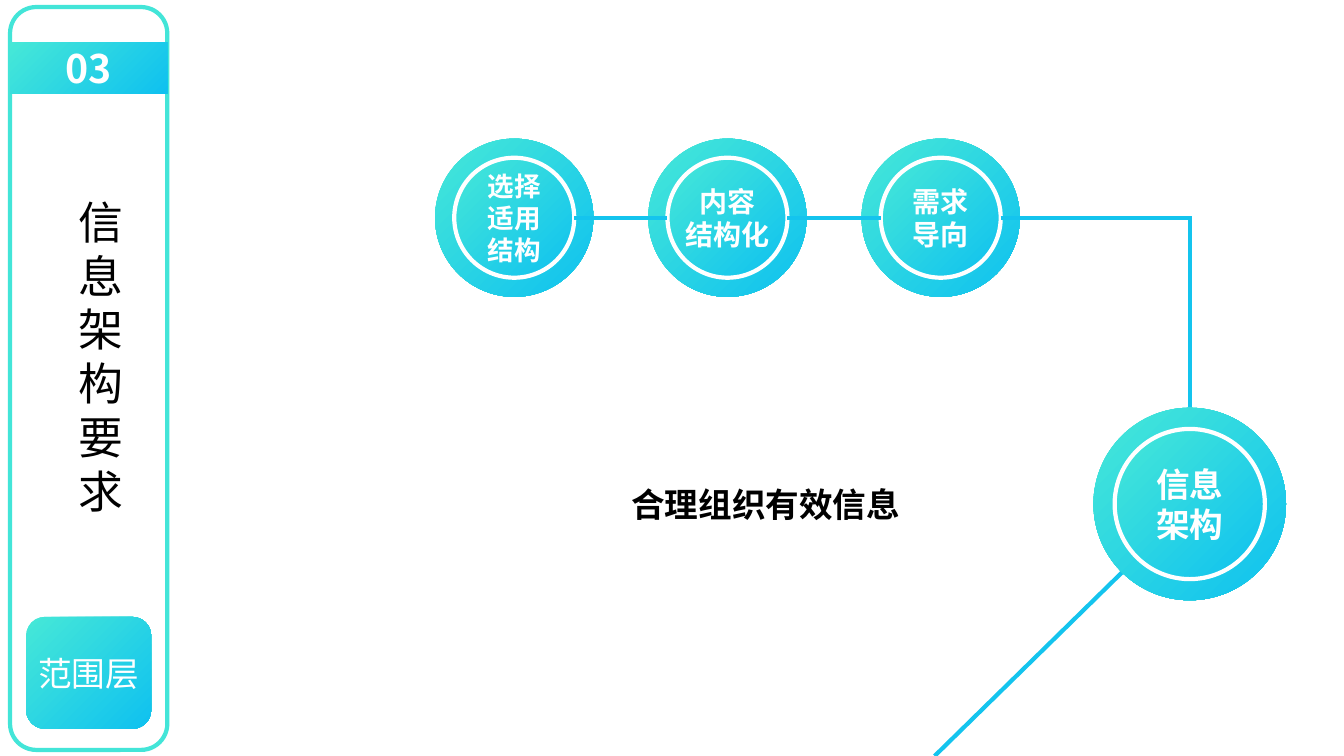
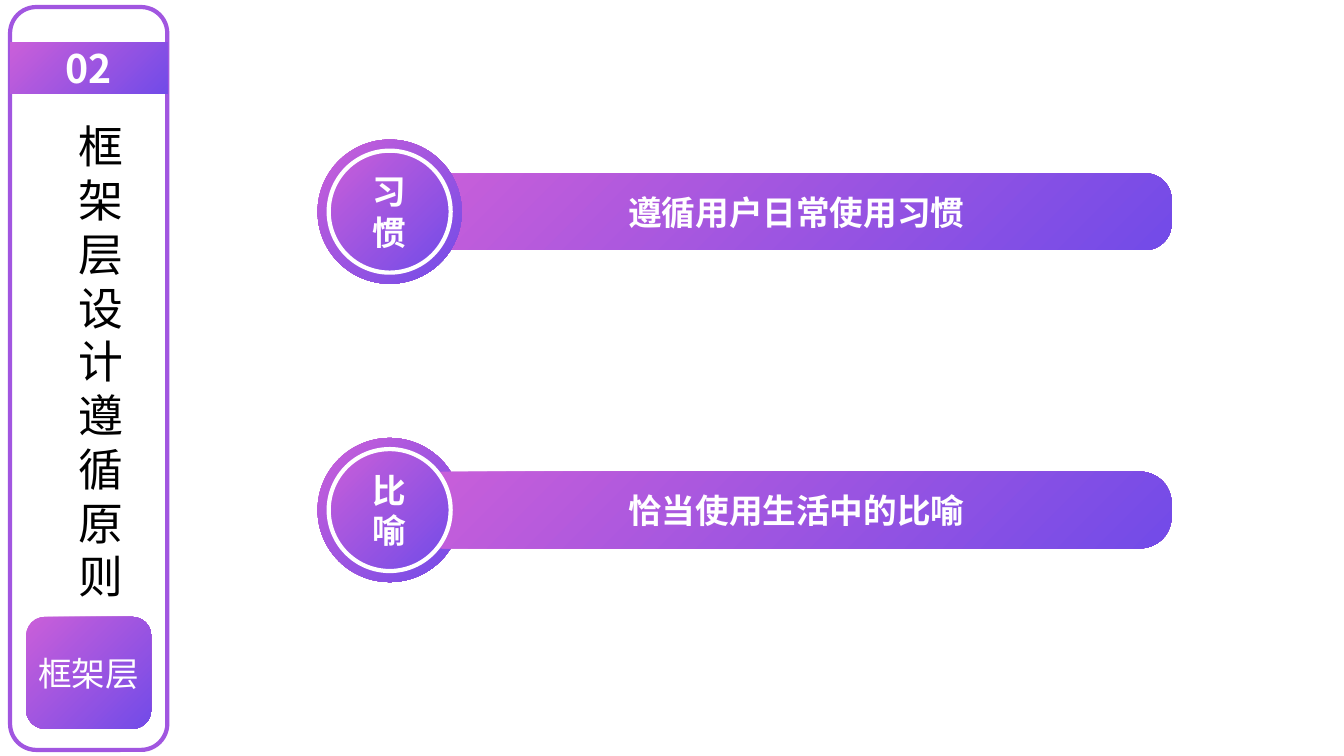
from dataclasses import dataclass

from lxml.etree import SubElement
from pptx import Presentation
from pptx.dml.color import RGBColor
from pptx.enum.shapes import MSO_CONNECTOR as Connector, MSO_SHAPE as Shape
from pptx.enum.text import MSO_ANCHOR as Anchor, MSO_AUTO_SIZE as AutoSize, PP_ALIGN as Align
from pptx.oxml.ns import qn
from pptx.util import Inches, Pt

FONT = "Noto Sans CJK SC"
WHITE, BLACK = "FFFFFF", "000000"
LINE_WIDTH = Pt(3)
LINE_RATIO = 1.2
TITLE_ONLY = 5
CELL = Inches(0.1)


@dataclass(frozen=True)
class Theme:
    light: str
    dark: str
    frame: str
    link: str


SCOPE = Theme("46E8D7", "0FC1F0", "43E5D8", "14C4EE")
SKELETON = Theme("CA5FD9", "724BE8", "A156E0", "A156E0")


def cells(*counts):
    return [round(count * CELL) for count in counts]


def color(code):
    return RGBColor.from_string(code)


def write(shape, text, size, ink=WHITE, bold=False, inset=0, wrap=True, anchor=Anchor.MIDDLE):
    frame = shape.text_frame
    frame.text = text
    frame.word_wrap = wrap
    frame.auto_size = AutoSize.NONE
    frame.vertical_anchor = anchor
    frame.margin_left, frame.margin_right = cells(inset, inset)
    frame.margin_top = frame.margin_bottom = 0
    for paragraph in frame.paragraphs:
        paragraph.alignment = Align.CENTER
        paragraph.line_spacing = Pt(size * LINE_RATIO)
        font = paragraph.font
        font.name, font.size, font.bold = FONT, Pt(size), bold
        font.color.rgb = color(ink)
        properties = paragraph._p.pPr.find(qn("a:defRPr"))
        SubElement(properties, qn("a:ea"), typeface=FONT)


def add_block(slide, kind, box, theme=None, line=None, corner=None):
    shape = slide.shapes.add_shape(kind, *cells(*box))
    shape.shadow.inherit = False
    if corner is not None:
        shape.adjustments[0] = corner
    if theme:
        shape.fill.gradient()
        shape.fill.gradient_angle = 315
        for stop, code in zip(shape.fill.gradient_stops, (theme.light, theme.dark)):
            stop.color.rgb = color(code)
    else:
        shape.fill.background()
    if line:
        shape.line.color.rgb = color(line)
        shape.line.width = LINE_WIDTH
    else:
        shape.line.fill.background()
    return shape


def add_disc(slide, theme, center, diameter, line=None):
    x, y = center
    box = x - diameter / 2, y - diameter / 2, diameter, diameter
    return add_block(slide, Shape.OVAL, box, theme, line)


def add_ring(slide, theme, center, diameter, text, size):
    ring = add_disc(slide, theme, center, diameter, WHITE)
    write(ring, text, size, bold=True, inset=1.2, wrap="\n" not in text)


def add_link(slide, theme, start, end):
    link = slide.shapes.add_connector(Connector.STRAIGHT, *cells(*start, *end))
    link.line.color.rgb = color(theme.link)
    link.line.width = LINE_WIDTH
    SubElement(link._element.spPr, qn("a:effectLst"))


def add_sidebar_slide(presentation, theme, number, title, title_top, layer):
    slide = presentation.slides.add_slide(presentation.slide_layouts[TITLE_ONLY])
    add_block(slide, Shape.ROUNDED_RECTANGLE, (1, 0.7, 15.6, 73.7), line=theme.frame)
    label = add_block(slide, Shape.ROUNDED_RECTANGLE, (2.6, 61.2, 12.4, 11.1), theme)
    write(label, layer, 24)
    heading = slide.shapes.title
    height = len(title) * 32 * LINE_RATIO / 7.2
    heading.left, heading.top, heading.width, heading.height = cells(7.7, title_top, 4.6, height)
    write(heading, title, 32, BLACK, anchor=Anchor.TOP)
    band = add_block(slide, Shape.RECTANGLE, (1, 4.2, 15.6, 5.1), theme)
    write(band, number, 28, bold=True)
    return slide


def build_architecture(presentation):
    slide = add_sidebar_slide(presentation, SCOPE, "03", "信息架构要求", 19.3, "范围层")
    caption = slide.shapes.add_textbox(*cells(47.1, 47.2, 57.7, 5.6))
    write(caption, "合理组织有效信息", 24, BLACK, bold=True)

    first, step, row, ring = 51, 21.15, 21.6, 11.9
    steps = [("选择适用结构", 19), ("内容\n结构化", 20), ("需求导向", 20)]
    centers = [(first + step * index, row) for index in range(len(steps))]
    for center, (text, size) in zip(centers, steps):
        add_disc(slide, SCOPE, center, 15.7)
        add_ring(slide, SCOPE, center, ring, text, size)
    for (left, _), (right, _) in zip(centers, centers[1:]):
        add_link(slide, SCOPE, (left + ring / 2, row), (right - ring / 2, row))

    hub = 118, 50
    corner = hub[0], row
    add_link(slide, SCOPE, (centers[-1][0] + ring / 2, row), (corner[0] + 0.2, row))
    add_link(slide, SCOPE, corner, (hub[0], 42.5))
    add_link(slide, SCOPE, (92.7, 75), (112.8, 55.3))
    add_disc(slide, SCOPE, hub, 19.1)
    add_ring(slide, SCOPE, hub, 14.9, "信息架构", 24)


def add_principle_bar(slide, row, text, corner):
    box = 40.8, row - 3.8, 75.4, 7.6
    bar = add_block(slide, Shape.ROUNDED_RECTANGLE, box, SKELETON, corner=corner)
    write(bar, text, 24, bold=True)
    bar.text_frame.margin_left = CELL


def build_principles(presentation):
    slide = add_sidebar_slide(presentation, SKELETON, "02", "框架层设计遵循原则", 11.8, "框架层")
    principles = [
        ("习惯", "遵循用户日常使用习惯", 0.34, False),
        ("比喻", "恰当使用生活中的比喻", 0.41, True),
    ]
    for index, (name, text, corner, bar_on_top) in enumerate(principles):
        center = 38.65, 21 + 29.6 * index
        if bar_on_top:
            add_disc(slide, SKELETON, center, 14.3)
        add_principle_bar(slide, center[1], text, corner)
        if not bar_on_top:
            add_disc(slide, SKELETON, center, 14.3)
        add_ring(slide, SKELETON, center, 12.1, name, 24)


def main():
    presentation = Presentation()
    presentation.slide_width, presentation.slide_height = Inches(13.33), Inches(7.5)
    build_architecture(presentation)
    build_principles(presentation)
    presentation.save("out.pptx")


if __name__ == "__main__":
    main()
